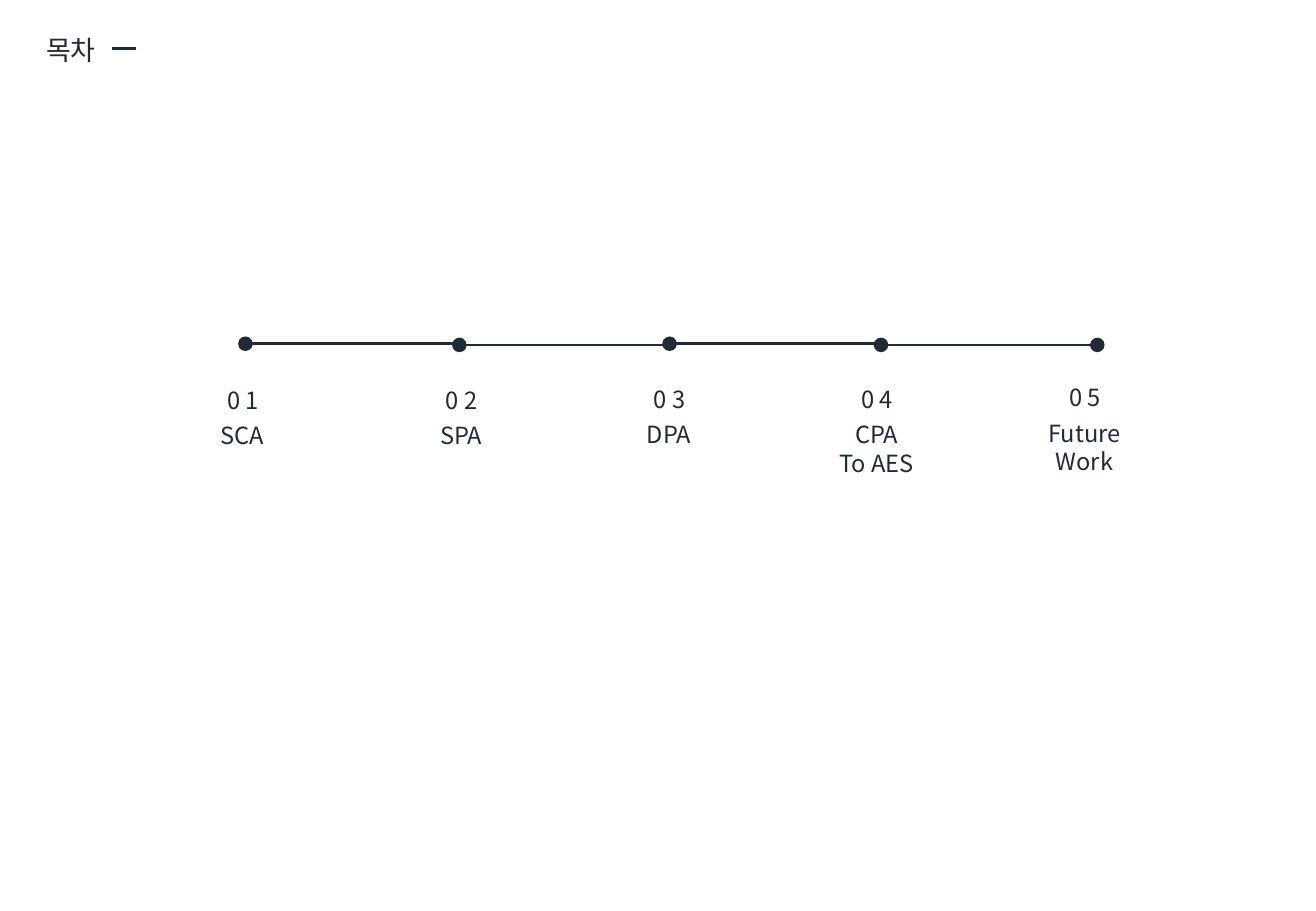
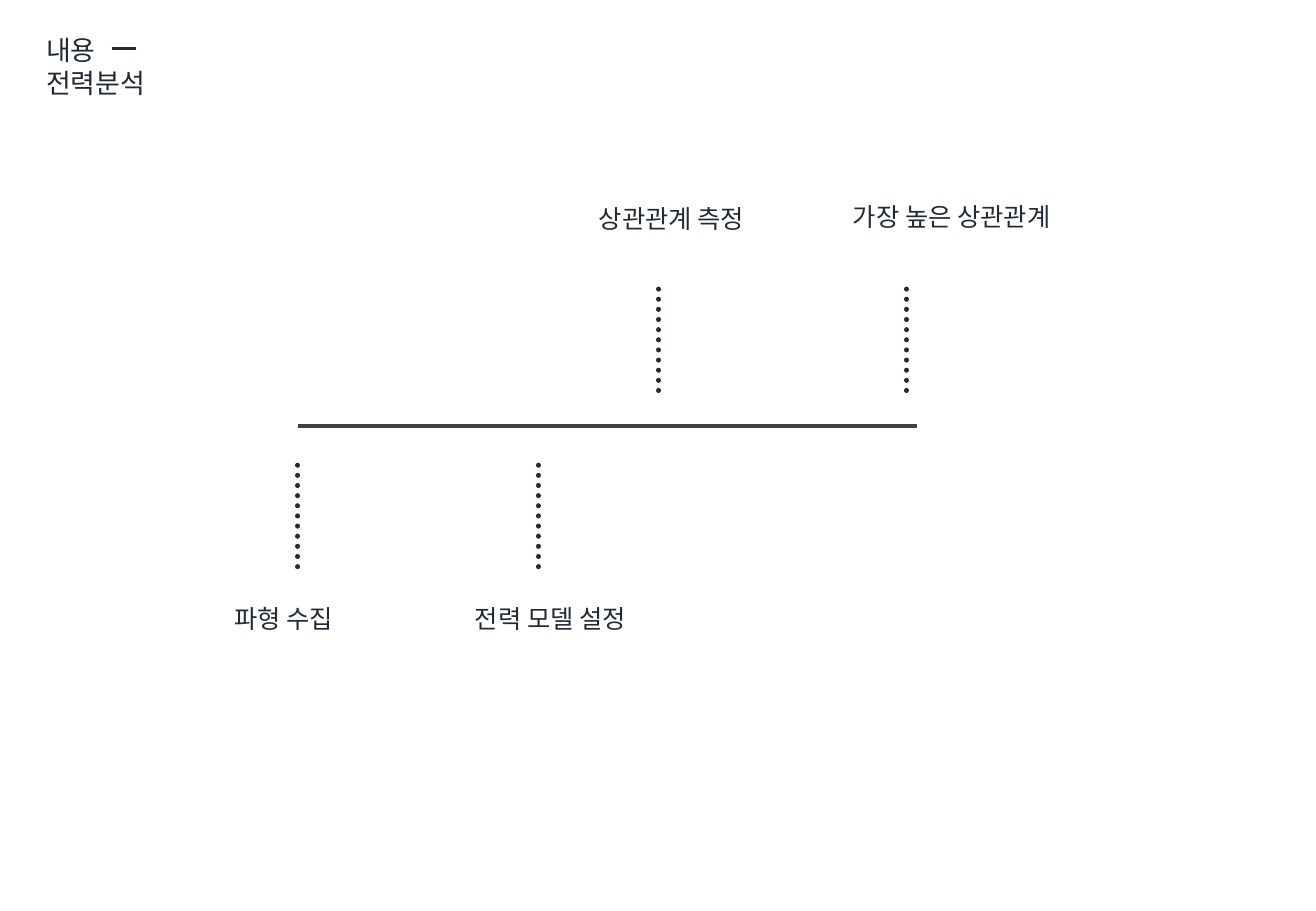
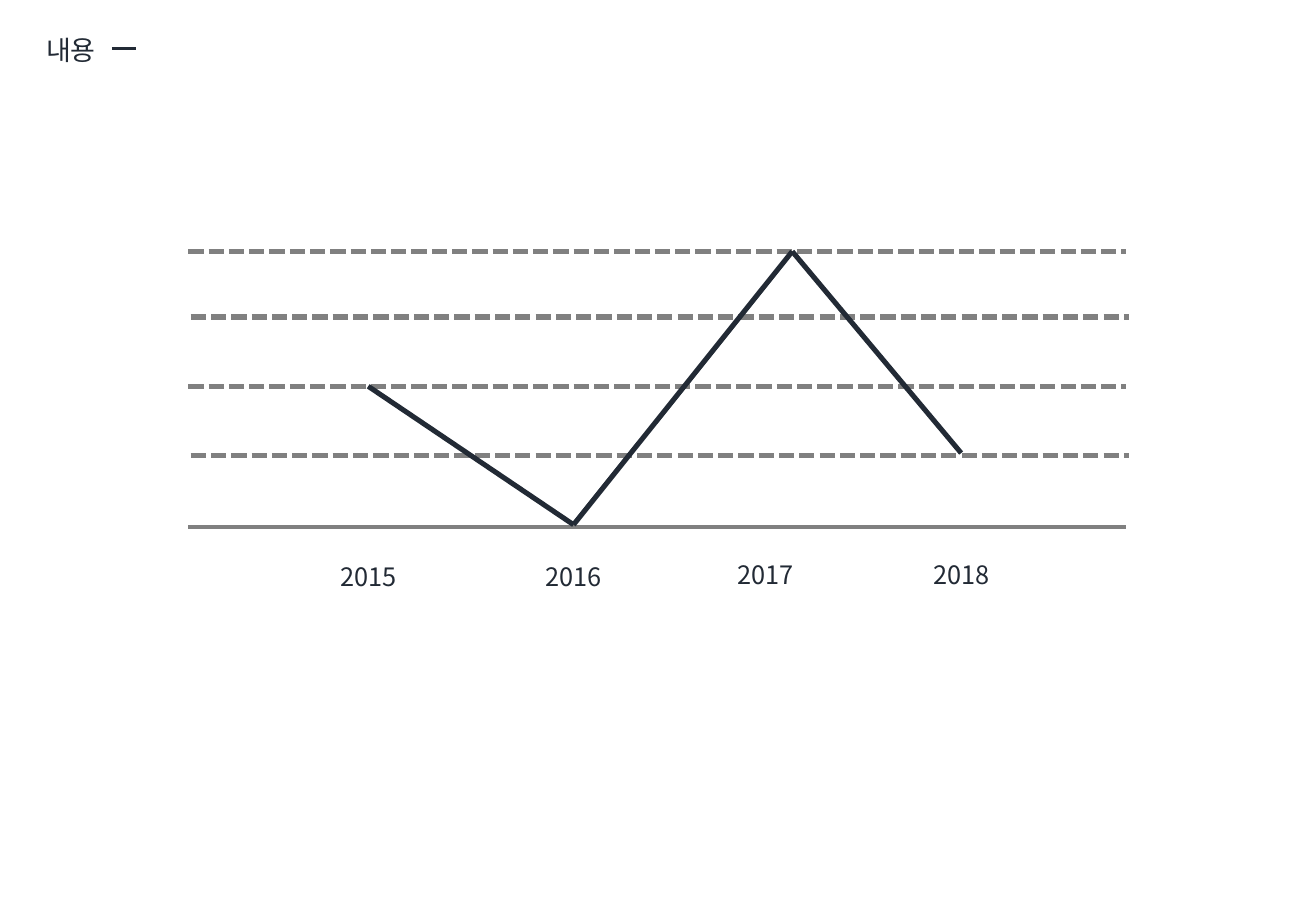
from dataclasses import dataclass
from itertools import pairwise

from lxml.etree import SubElement
from pptx import Presentation
from pptx.dml.color import RGBColor
from pptx.enum.dml import MSO_LINE
from pptx.enum.shapes import MSO_CONNECTOR, MSO_SHAPE
from pptx.enum.text import MSO_ANCHOR, MSO_AUTO_SIZE, PP_ALIGN
from pptx.oxml.ns import qn
from pptx.util import Emu, Pt

SCALE = 9144


@dataclass(frozen=True)
class Theme:
    """Colours, font, type sizes and line widths of the deck."""
    ink: RGBColor = RGBColor(0x22, 0x2A, 0x35)
    axis: RGBColor = RGBColor(0x40, 0x40, 0x40)
    grid: RGBColor = RGBColor(0x80, 0x80, 0x80)
    font: str = "Noto Sans CJK KR"
    title: int = 16
    label: int = 15
    agenda: int = 14
    thin: float = 1.5
    medium: float = 2.25
    thick: float = 3


def px(length):
    """Turn whole px into EMU."""
    return Emu(length * SCALE)


def apply(target, values):
    """Set every format value on the target."""
    for name, value in values.items():
        setattr(target, name, value)


class Deck:
    """Hold the theme, the presentation and the current page."""

    def __init__(self, width, height):
        """Start an empty presentation of the given size."""
        self.theme = Theme()
        self.presentation = Presentation()
        apply(self.presentation, {"slide_width": px(width), "slide_height": px(height)})
        self.page = None

    def add_page(self, *title_lines):
        """Add a page with its title and the short dash beside it."""
        self.page = self.presentation.slides.add_slide(self.presentation.slide_layouts[5])
        title = self.page.shapes.title
        place = {"left": 28, "top": 23, "width": 151, "height": 37 + 27 * (len(title_lines) - 1)}
        apply(title, {name: px(value) for name, value in place.items()})
        self.fill_text(title, title_lines, self.theme.title, PP_ALIGN.LEFT, 1.0)
        self.line((92, 40), (112, 40), self.theme.medium)

    def fill_text(self, box, lines, size, alignment, spacing):
        """Fill a box with one paragraph for each line."""
        frame = box.text_frame
        apply(frame, {"word_wrap": True, "auto_size": MSO_AUTO_SIZE.SHAPE_TO_FIT_TEXT,
                      "vertical_anchor": MSO_ANCHOR.TOP})
        for index, line in enumerate(lines):
            para = frame.add_paragraph() if index else frame.paragraphs[0]
            apply(para, {"alignment": alignment, "line_spacing": spacing})
            span = para.add_run()
            span.text = line
            apply(span.font, {"name": self.theme.font, "size": Pt(size)})
            span.font.color.rgb = self.theme.ink
            SubElement(span._r.get_or_add_rPr(), qn("a:ea"), typeface=self.theme.font)

    def text(self, place, lines, size, alignment=PP_ALIGN.LEFT, spacing=1.0):
        """Add a text box."""
        box = self.page.shapes.add_textbox(*map(px, place))
        self.fill_text(box, lines, size, alignment, spacing)

    def line(self, start, end, width, color=None, dash=None):
        """Add a straight line, with round dots if it is dotted."""
        connector = self.page.shapes.add_connector(
            MSO_CONNECTOR.STRAIGHT, *map(px, start + end))
        connector.line.color.rgb = color or self.theme.ink
        apply(connector.line, {"width": Pt(width), "dash_style": dash})
        if dash == MSO_LINE.ROUND_DOT:
            connector.get_or_add_ln().set("cap", "rnd")
        SubElement(connector.element.spPr, qn("a:effectLst"))

    def dot(self, left, top, size):
        """Add a filled circle."""
        circle = self.page.shapes.add_shape(
            MSO_SHAPE.OVAL, *map(px, (left, top, size, size)))
        circle.shadow.inherit = False
        circle.fill.solid()
        circle.fill.fore_color.rgb = self.theme.ink
        circle.line.fill.background()


def agenda_page(deck):
    """Build the agenda as a row of joined dots."""
    theme = deck.theme
    deck.add_page("목차")
    stops = [
        ("0 1", ["SCA"], (196, 277), (170, 301)),
        ("0 2", ["SPA"], (372, 278), (350, 301)),
        ("0 3", ["DPA"], (545, 277), (521, 300)),
        ("0 4", ["CPA", "To AES"], (719, 278), (692, 300)),
        ("0 5", ["Future", "Work"], (897, 278), (863, 299)),
    ]
    for number, lines, (dot_left, dot_top), (left, top) in stops:
        if number != stops[-1][0]:
            y = dot_top + 6
            deck.line((dot_left + 11, y), (dot_left + 184, y), theme.thin)
        deck.dot(dot_left, dot_top, 12)
        deck.text((left, top, 60, 42), [number], theme.agenda, PP_ALIGN.CENTER, 1.5)
        deck.text((left - 56, top + 41, 171, 34 + 23 * (len(lines) - 1)), lines,
                  theme.agenda, PP_ALIGN.CENTER)


def analysis_page(deck):
    """Build the steps of power analysis along an axis."""
    theme = deck.theme
    deck.add_page("내용", "전력분석")
    steps = [
        ("파형 수집", 183, 492, 245, 383),
        ("전력 모델 설정", 381, 492, 443, 383),
        ("상관관계 측정", 483, 162, 542, 238),
        ("가장 높은 상관관계", 692, 161, 746, 238),
    ]
    for label, left, top, x, y in steps:
        deck.line((x, y), (x, y + 90), theme.thick, dash=MSO_LINE.ROUND_DOT)
        deck.text((left, top, 285, 35), [label], theme.label)
    deck.line((245, 351), (755, 351), theme.medium, theme.axis)


def trend_page(deck):
    """Build the yearly trend over dashed grid lines."""
    theme = deck.theme
    deck.add_page("내용")
    deck.line((155, 434), (927, 434), theme.medium, theme.grid)
    for left, y in [(157, 375), (155, 318), (157, 261), (155, 207)]:
        deck.line((left, y), (left + 772, y), theme.thick, theme.grid, MSO_LINE.SQUARE_DOT)
    years = [("2015", 191, 445), ("2016", 360, 445), ("2017", 518, 443), ("2018", 679, 443)]
    for year, left, top in years:
        deck.text((left, top, 224, 44), [year], theme.label, PP_ALIGN.CENTER, 1.5)
    for start, end in pairwise([(303, 318), (472, 432), (652, 207), (791, 373)]):
        deck.line(start, end, theme.thick)


def main():
    """Build the three pages and save the deck."""
    deck = Deck(1083, 750)
    for build in (agenda_page, analysis_page, trend_page):
        build(deck)
    deck.presentation.save("out.pptx")


if __name__ == "__main__":
    main()
